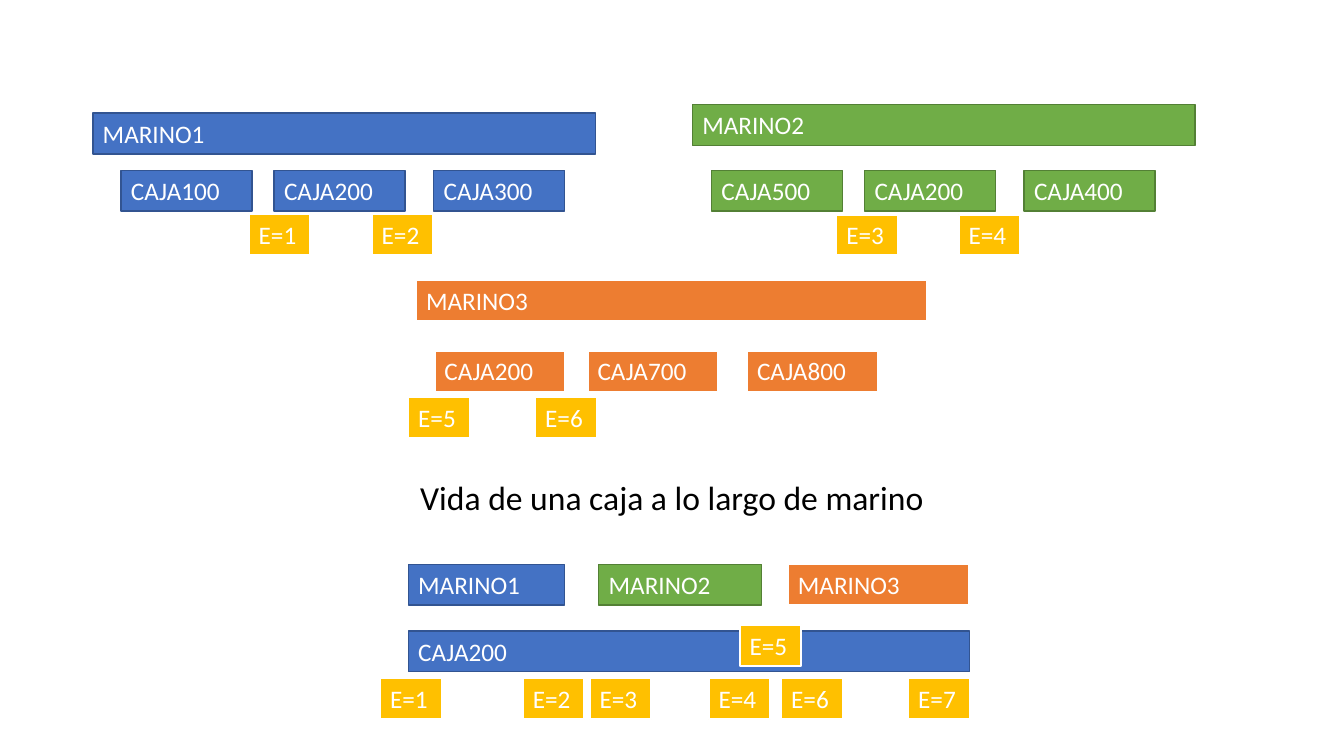
from dataclasses import dataclass

from pptx import Presentation
from pptx.dml.color import RGBColor
from pptx.enum.shapes import MSO_SHAPE
from pptx.enum.text import MSO_ANCHOR, MSO_AUTO_SIZE, PP_ALIGN
from pptx.util import Cm, Pt

RECT = MSO_SHAPE.RECTANGLE
LEFT = PP_ALIGN.LEFT
MIDDLE = MSO_ANCHOR.MIDDLE
TOP = MSO_ANCHOR.TOP
GROW = MSO_AUTO_SIZE.SHAPE_TO_FIT_TEXT


@dataclass(frozen=True)
class Tone:
    fill: str
    edge: str
    width: float


@dataclass(frozen=True)
class Theme:
    blue: Tone = Tone("4472C4", "325491", 1)
    green: Tone = Tone("70AD47", "538035", 1)
    orange: Tone = Tone("ED7D31", "FFFFFF", 1.5)
    gold: Tone = Tone("FFC000", "FFFFFF", 1.5)
    light: str = "FFFFFF"
    dark: str = "000000"
    font: str = "Calibri"
    body: int = 18
    title: int = 24


THEME = Theme()
BAR_HIGH = 1.03
CRATE_WIDE = 3.3
CRATE_STEPS = (0, 3.86, 7.88)
EVENT_WIDE = 1.55


def write(shape, text, size, color, anchor):
    frame = shape.text_frame
    frame.word_wrap = True
    frame.vertical_anchor = anchor
    line = frame.paragraphs[0]
    line.text = text
    line.alignment = LEFT
    line.font.name = THEME.font
    line.font.size = Pt(size)
    line.font.color.rgb = RGBColor.from_string(color)
    return line


def add_bar(slide, text, left, top, width, tone):
    bar = slide.shapes.add_shape(RECT, Cm(left), Cm(top), Cm(width), Cm(BAR_HIGH))
    bar.shadow.inherit = False
    bar.fill.solid()
    bar.fill.fore_color.rgb = RGBColor.from_string(tone.fill)
    bar.line.color.rgb = RGBColor.from_string(tone.edge)
    bar.line.width = Pt(tone.width)
    write(bar, text, THEME.body, THEME.light, TOP)
    bar.text_frame.auto_size = GROW


def add_crates(slide, codes, left, top, tone):
    for code, step in zip(codes, CRATE_STEPS):
        add_bar(slide, f"CAJA{code}", left + step, top, CRATE_WIDE, tone)


def add_events(slide, top, events):
    for number, left in events:
        add_bar(slide, f"E={number}", left, top, EVENT_WIDE, THEME.gold)


def add_title(slide, text, left, top, width, height):
    box = slide.shapes.add_textbox(Cm(left), Cm(top), Cm(width), Cm(height))
    line = write(box, text, THEME.title, THEME.dark, MIDDLE)
    line.line_spacing = 0.9


def main():
    deck = Presentation()
    deck.slide_width = Cm(33.87)
    deck.slide_height = Cm(19.05)
    slide = deck.slides.add_slide(deck.slide_layouts[6])

    add_title(slide, "Vida de una caja a lo largo de marino", 10.34, 10.74, 15.16, 3.68)

    add_bar(slide, "MARINO1", 2.34, 2.85, 12.67, THEME.blue)
    add_bar(slide, "MARINO2", 17.45, 2.64, 12.67, THEME.green)
    add_bar(slide, "MARINO3", 10.49, 7.06, 12.88, THEME.orange)

    add_crates(slide, (100, 200, 300), 3.05, 4.29, THEME.blue)
    add_crates(slide, (500, 200, 400), 17.93, 4.29, THEME.green)
    add_crates(slide, (200, 700, 800), 10.95, 8.84, THEME.orange)

    add_bar(slide, "MARINO1", 10.29, 14.22, 3.94, THEME.blue)
    add_bar(slide, "MARINO2", 15.09, 14.22, 4.11, THEME.green)
    add_bar(slide, "MARINO3", 19.86, 14.22, 4.57, THEME.orange)
    add_bar(slide, "CAJA200", 10.29, 15.9, 14.15, THEME.blue)

    add_events(slide, 5.39, ((1, 6.27), (2, 9.37)))
    add_events(slide, 5.41, ((3, 21.08), (4, 24.16)))
    add_events(slide, 10.01, ((5, 10.29), (6, 13.49)))
    add_events(slide, 17.09, ((1, 9.58), (2, 13.18), (3, 14.86),
                              (4, 17.86), (6, 19.69), (7, 22.89)))
    add_events(slide, 15.75, ((5, 18.64),))

    deck.save("out.pptx")


if __name__ == "__main__":
    main()
